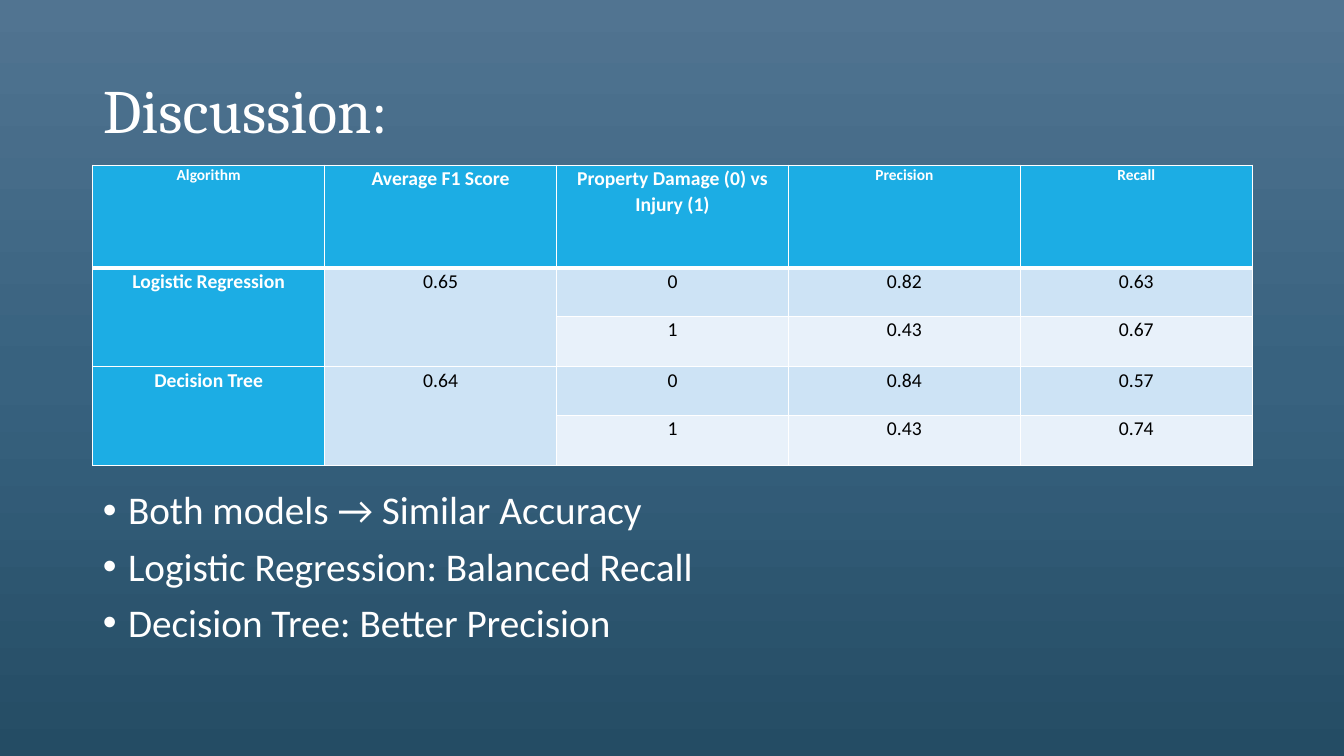
from lxml.etree import SubElement
from pptx import Presentation
from pptx.dml.color import RGBColor
from pptx.enum.text import MSO_ANCHOR, MSO_AUTO_SIZE, PP_ALIGN
from pptx.oxml import parse_xml
from pptx.oxml.ns import nsdecls, qn
from pptx.util import Inches, Pt

WHITE = RGBColor(0xFF, 0xFF, 0xFF)
BLACK = RGBColor(0x00, 0x00, 0x00)
HEADER_BLUE = RGBColor(0x1C, 0xAD, 0xE4)
BAND_DARK = RGBColor(0xCD, 0xE3, 0xF5)
BAND_LIGHT = RGBColor(0xE8, 0xF1, 0xFA)
BACKGROUND_STOPS = (
    (0, RGBColor(0x51, 0x74, 0x91)),
    (50, RGBColor(0x38, 0x62, 0x7F)),
    (100, RGBColor(0x24, 0x4C, 0x64)),
)

LEFT, WIDTH = 0.92, 11.5
ROW_HEIGHTS = (1.02, 0.48, 0.5, 0.48, 0.5)
HEADINGS = ("Algorithm", "Average F1 Score", "Property Damage (0) vs Injury (1)",
            "Precision", "Recall")
SMALL_HEADINGS = ("Algorithm", "Precision", "Recall")
MODELS = (
    ("Logistic Regression", "0.65", (("0", "0.82", "0.63"), ("1", "0.43", "0.67"))),
    ("Decision Tree", "0.64", (("0", "0.84", "0.57"), ("1", "0.43", "0.74"))),
)
FINDINGS = (
    "Both models → Similar Accuracy",
    "Logistic Regression: Balanced Recall",
    "Decision Tree: Better Precision",
)


class SlideBuilder:
    heading_font = "Cambria"
    body_font = "Calibri"

    def __init__(self, deck):
        self.slide = deck.slides.add_slide(deck.slide_layouts[1])

    def background(self, stops):
        fill = self.slide.background.fill
        fill.gradient()
        fill.gradient_angle = 270
        stop_list = self.slide.background._cSld.find(".//" + qn("a:gsLst"))
        for stop in list(stop_list):
            stop_list.remove(stop)
        for percent, color in stops:
            stop = SubElement(stop_list, qn("a:gs"), pos=str(percent * 1000))
            SubElement(stop, qn("a:srgbClr"), val=str(color))

    def span(self, para, text, size, color, font=None, bold=False):
        span = para.add_run()
        span.text = text
        span.font.name = font or self.body_font
        span.font.size = Pt(size)
        span.font.bold = bold
        span.font.color.rgb = color

    def place(self, box, top, height, anchor):
        box.left, box.top = Inches(LEFT), Inches(top)
        box.width, box.height = Inches(WIDTH), Inches(height)
        frame = box.text_frame
        frame.word_wrap = True
        frame.auto_size = MSO_AUTO_SIZE.NONE
        frame.vertical_anchor = anchor
        return frame

    def title(self, text):
        frame = self.place(self.slide.shapes.title, 0.4, 1.45, MSO_ANCHOR.MIDDLE)
        para = frame.paragraphs[0]
        para.alignment = PP_ALIGN.LEFT
        para.line_spacing = 0.9
        self.span(para, text, 44, WHITE, self.heading_font)

    def bullets(self, items):
        frame = self.place(self.slide.placeholders[1], 4.82, 1.94, MSO_ANCHOR.TOP)
        for index, item in enumerate(items):
            para = frame.add_paragraph() if index else frame.paragraphs[0]
            para.line_spacing = 0.9
            para.space_before = Pt(10)
            properties = para._p.get_or_add_pPr()
            properties.set("marL", str(Inches(0.25)))
            properties.set("indent", str(Inches(-0.25)))
            SubElement(properties, qn("a:buFont"), typeface="Arial")
            SubElement(properties, qn("a:buChar"), char="•")
            self.span(para, item, 28, WHITE)

    def table(self, top, row_heights, column_count):
        frame = self.slide.shapes.add_table(
            len(row_heights), column_count, Inches(LEFT), Inches(top),
            Inches(WIDTH), Inches(sum(row_heights)))
        table = frame.table
        for row, height in zip(table.rows, row_heights):
            row.height = Inches(height)
        for column in table.columns:
            column.width = Inches(WIDTH / column_count)
        return table

    def cell(self, cell, text, fill, color=BLACK, size=14, before=6):
        cell.margin_left = cell.margin_right = Inches(0.07)
        cell.margin_top = cell.margin_bottom = 0
        cell.fill.solid()
        cell.fill.fore_color.rgb = fill
        para = cell.text_frame.paragraphs[0]
        para.alignment = PP_ALIGN.CENTER
        para.space_before = Pt(before)
        if size == 14:
            para.line_spacing = 1.07
            para.space_after = Pt(8)
        if text:
            self.span(para, text, size, color, bold=color == WHITE)

    def borders(self, table):
        """Draw white cell edges, with a heavy rule under the header row."""
        for row_index, row in enumerate(table.rows):
            heavy_side = {0: "B", 1: "T"}.get(row_index)
            for cell in row.cells:
                properties = cell._tc.get_or_add_tcPr()
                for position, side in enumerate("LRTB"):
                    width = Pt(3 if side == heavy_side else 1)
                    properties.insert(position, parse_xml(
                        f'<a:ln{side} {nsdecls("a")} w="{width}"><a:solidFill>'
                        f'<a:srgbClr val="{WHITE}"/></a:solidFill></a:ln{side}>'))


def main():
    deck = Presentation()
    deck.slide_width, deck.slide_height = Inches(13.33), Inches(7.5)
    page = SlideBuilder(deck)
    page.background(BACKGROUND_STOPS)
    page.title("Discussion:")
    page.bullets(FINDINGS)

    scores = page.table(1.64, ROW_HEIGHTS, len(HEADINGS))
    for column, heading in enumerate(HEADINGS):
        size = 11 if heading in SMALL_HEADINGS else 14
        before = 6 if heading.startswith("Property") else 18
        page.cell(scores.cell(0, column), heading, HEADER_BLUE, WHITE, size, before)
    for index, (model, f1_score, results) in enumerate(MODELS):
        first_row = 1 + 2 * index
        for offset, (values, band) in enumerate(zip(results, (BAND_DARK, BAND_LIGHT))):
            row = first_row + offset
            page.cell(scores.cell(row, 0), "" if offset else model,
                      HEADER_BLUE, WHITE, before=12)
            page.cell(scores.cell(row, 1), "" if offset else f1_score,
                      BAND_DARK, before=18)
            for column, value in enumerate(values, start=2):
                page.cell(scores.cell(row, column), value, band)
        for column in (0, 1):
            scores.cell(first_row, column).merge(scores.cell(first_row + 1, column))
    page.borders(scores)
    deck.save("out.pptx")


if __name__ == "__main__":
    main()
